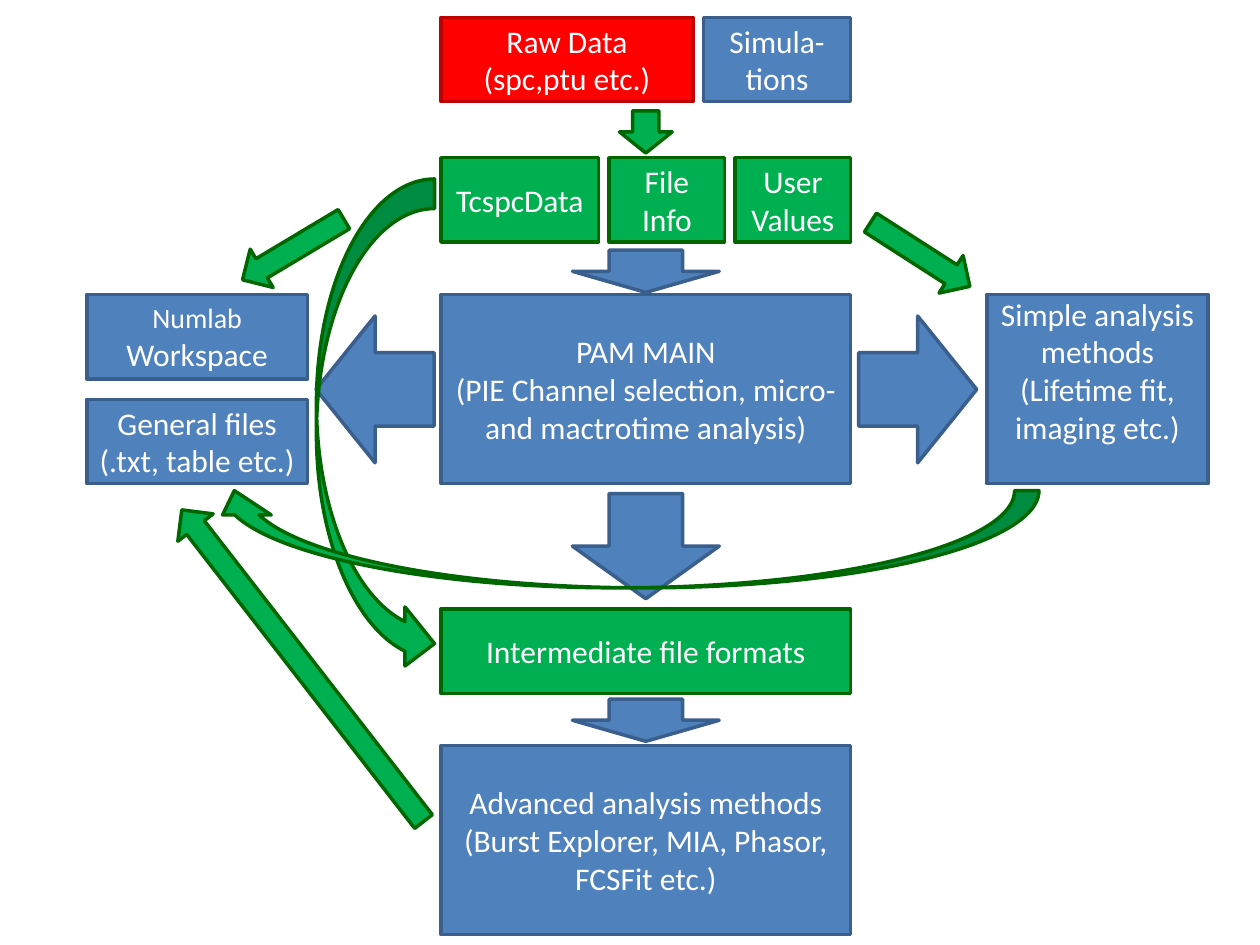
from pptx import Presentation
from pptx.dml.color import RGBColor
from pptx.enum.shapes import MSO_SHAPE
from pptx.enum.text import MSO_ANCHOR, PP_ALIGN
from pptx.util import Cm, Pt

WHITE = RGBColor(0xFF, 0xFF, 0xFF)
RED = (RGBColor(0xFF, 0x00, 0x00), RGBColor(0xC0, 0x00, 0x00))
GREEN = (RGBColor(0x00, 0xB0, 0x50), RGBColor(0x00, 0x66, 0x00))
BLUE = (RGBColor(0x4F, 0x81, 0xBD), RGBColor(0x3A, 0x5F, 0x8C))

MAIN_LEFT, MAIN_WIDTH = 8.89, 8.26
MAIN_CENTER = MAIN_LEFT + MAIN_WIDTH / 2
SIDE_WIDTH = 4.45
OUTPUT_LEFT = 1.75
LOW, TALL = 1.7, 3.81
SOURCE_TOP, DATA_TOP, PROGRAM_TOP = 0.35, 3.18, 5.94
SIDE_ARROW_CENTER = 7.85
WIDE = 2.96


class FlowDiagram:
    font = "Calibri"
    size = 18
    line_width = Pt(2)

    def __init__(self, slide):
        self.slide = slide

    def add_preset(self, preset, left, top, width, height, colors):
        shape = self.slide.shapes.add_shape(
            preset, Cm(left), Cm(top), Cm(width), Cm(height))
        fill, line = colors
        shape.shadow.inherit = False
        shape.fill.solid()
        shape.fill.fore_color.rgb = fill
        shape.line.color.rgb = line
        shape.line.width = self.line_width
        return shape

    def add_run(self, paragraph, text, size):
        run = paragraph.add_run()
        run.text = text
        run.font.name = self.font
        run.font.size = Pt(size)
        run.font.color.rgb = WHITE

    def box(self, left, top, width, height, colors, paragraphs, bottom=0.13):
        shape = self.add_preset(
            MSO_SHAPE.RECTANGLE, left, top, width, height, colors)
        frame = shape.text_frame
        frame.word_wrap = True
        frame.vertical_anchor = MSO_ANCHOR.MIDDLE
        frame.margin_bottom = Cm(bottom)
        for index, runs in enumerate(paragraphs):
            paragraph = frame.add_paragraph() if index else frame.paragraphs[0]
            paragraph.alignment = PP_ALIGN.CENTER
            if isinstance(runs, str):
                runs = [(runs, self.size)]
            for text, size in runs:
                self.add_run(paragraph, text, size)

    def arrow(self, center_x, center_y, width, height, colors, rotation=0,
              preset=MSO_SHAPE.DOWN_ARROW, flipped=False):
        shape = self.add_preset(
            preset, center_x - width / 2, center_y - height / 2,
            width, height, colors)
        shape.rotation = rotation
        if flipped:
            shape.element.spPr.xfrm.set("flipH", "1")


def main():
    presentation = Presentation()
    presentation.slide_width = Cm(25.4)
    presentation.slide_height = Cm(19.05)
    diagram = FlowDiagram(
        presentation.slides.add_slide(presentation.slide_layouts[6]))

    diagram.box(MAIN_LEFT, SOURCE_TOP, 5.08, LOW, RED,
                ["Raw Data", "(spc,ptu etc.)"])
    diagram.box(14.18, SOURCE_TOP, 2.97, LOW, BLUE, ["Simula-tions"])

    for left, width, paragraphs in (
            (MAIN_LEFT, 3.18, ["TcspcData"]),
            (12.28, 2.33, ["File Info"]),
            (14.82, 2.33, ["User", "Values"])):
        diagram.box(left, DATA_TOP, width, LOW, GREEN, paragraphs)

    for top, height, colors, paragraphs in (
            (PROGRAM_TOP, TALL, BLUE,
             ["PAM MAIN",
              "(PIE Channel selection, micro- and mactrotime analysis)"]),
            (12.28, LOW, GREEN, ["Intermediate file formats"]),
            (15.03, TALL, BLUE,
             ["Advanced analysis methods",
              "(Burst Explorer, MIA, Phasor, FCSFit etc.)"])):
        diagram.box(MAIN_LEFT, top, MAIN_WIDTH, height, colors, paragraphs)

    diagram.box(19.9, PROGRAM_TOP, SIDE_WIDTH, TALL, BLUE,
                ["Simple analysis methods", "(Lifetime fit, imaging etc.)"],
                bottom=0.89)
    diagram.box(OUTPUT_LEFT, PROGRAM_TOP, SIDE_WIDTH, LOW, BLUE,
                [[("Numlab ", 16), ("Workspace", 18)]])
    diagram.box(OUTPUT_LEFT, PROGRAM_TOP + TALL - LOW, SIDE_WIDTH, LOW, BLUE,
                ["General files (.txt, table etc.)"])

    for center_y, width, height, colors in (
            (14.52, WIDE, 0.85, BLUE),
            (2.66, 1.06, 0.85, GREEN),
            (5.47, WIDE, 0.85, BLUE),
            (11.01, WIDE, 2.12, BLUE)):
        diagram.arrow(MAIN_CENTER, center_y, width, height, colors)

    diagram.arrow(18.5, SIDE_ARROW_CENTER, WIDE, 2.38, BLUE, 270)
    diagram.arrow(7.56, SIDE_ARROW_CENTER, WIDE, 2.38, BLUE, 90)
    diagram.arrow(7.57, 8.59, 2.38, 9.96, GREEN,
                  preset=MSO_SHAPE.CURVED_RIGHT_ARROW)
    diagram.arrow(18.55, 5.13, 0.9, 2.38, GREEN, 302.7)
    diagram.arrow(12.59, 10.87, 1.96, 16.71, GREEN, 90,
                  MSO_SHAPE.CURVED_RIGHT_ARROW, flipped=True)
    diagram.arrow(6.1, 13.42, 0.9, 7.95, GREEN, 142.2)
    diagram.arrow(5.91, 5.03, 0.9, 2.38, GREEN, 59.1)

    presentation.save("out.pptx")


if __name__ == "__main__":
    main()
